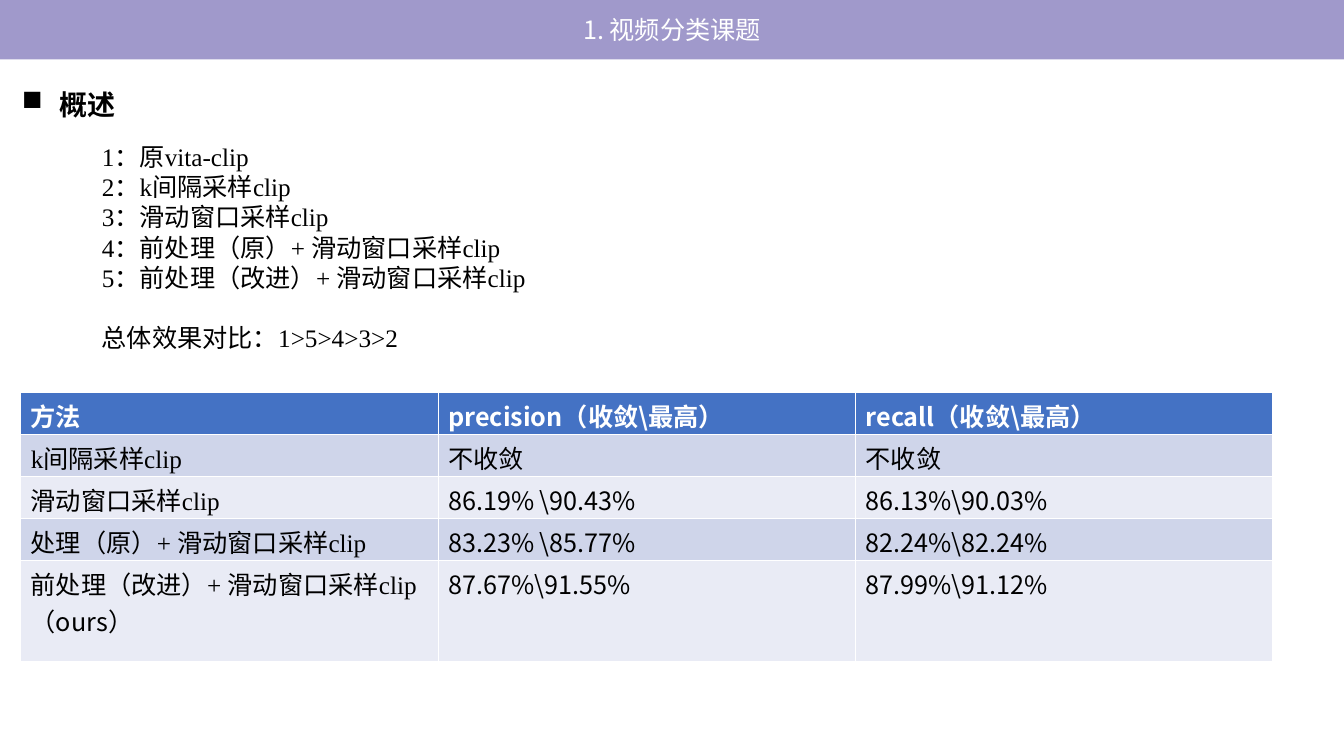
from dataclasses import dataclass

from lxml.etree import SubElement
from pptx import Presentation
from pptx.dml.color import RGBColor
from pptx.enum.text import MSO_ANCHOR as Anchor, MSO_AUTO_SIZE as AutoSize, PP_ALIGN as Align
from pptx.oxml.ns import qn
from pptx.util import Pt

COLORS = {
    "banner": "A099CB", "white": "FFFFFF", "black": "000000",
    "header": "4472C4", "odd": "CFD5EA", "even": "E9EBF5",
}
SANS = "Noto Sans CJK SC"
SERIF = "Times New Roman"


@dataclass(frozen=True)
class Result:
    method: tuple[str, ...]
    precision: str
    recall: str


METHODS = [
    "1：原vita-clip",
    "2：k间隔采样clip",
    "3：滑动窗口采样clip",
    "4：前处理（原）+ 滑动窗口采样clip",
    "5：前处理（改进）+ 滑动窗口采样clip",
]
RANKING = "总体效果对比：1>5>4>3>2"
HEADINGS = Result(("方法",), "precision（收敛\\最高）", "recall（收敛\\最高）")
RESULTS = [
    Result(("k间隔采样clip",), "不收敛", "不收敛"),
    Result(("滑动窗口采样clip",), "86.19% \\90.43%", "86.13%\\90.03%"),
    Result(("处理（原）+ 滑动窗口采样clip",), "83.23% \\85.77%", "82.24%\\82.24%"),
    Result(("前处理（改进）+ 滑动窗口采样clip", "（ours）"),
           "87.67%\\91.55%", "87.99%\\91.12%"),
]


def rgb(name: str) -> RGBColor:
    return RGBColor.from_string(COLORS[name])


def write(frame, text: str, *, font: str = SANS, size: float = 18, color: str = "black",
          bold: bool = False, align=Align.LEFT, before: float = 0,
          bullet: str = "", indent: float = 0) -> None:
    """Fill the first paragraph of the frame, or add one below the others."""
    first = frame.paragraphs[0]
    paragraph = frame.add_paragraph() if first.runs else first
    paragraph.alignment = align
    paragraph.line_spacing = 1.0
    paragraph.space_before = Pt(before)
    props = paragraph._p.get_or_add_pPr()
    props.set("marL", str(Pt(indent)))
    props.set("indent", str(-Pt(indent)))
    if bullet:
        SubElement(props, qn("a:buChar"), char=bullet)
    else:
        SubElement(props, qn("a:buNone"))
    run = paragraph.add_run()
    run.text = text
    run.font.name = font
    run.font.size = Pt(size)
    run.font.bold = bold
    run.font.color.rgb = rgb(color)
    SubElement(run._r.get_or_add_rPr(), qn("a:ea"), typeface=SANS)


def place(shape, left: float, top: float, width: float, height: float) -> None:
    shape.left, shape.top, shape.width, shape.height = map(Pt, (left, top, width, height))


def fill_row(table, index: int, result: Result, fill: str) -> None:
    is_header = index == 0
    table.rows[index].height = Pt(30)
    columns = (result.method, (result.precision,), (result.recall,))
    for column, lines in enumerate(columns):
        cell = table.cell(index, column)
        cell.fill.solid()
        cell.fill.fore_color.rgb = rgb(fill)
        for number, line in enumerate(lines):
            is_method = column == 0 and number == 0 and not is_header
            write(cell.text_frame, line, font=SERIF if is_method else SANS,
                  color="white" if is_header else "black", bold=is_header)


def main() -> None:
    deck = Presentation()
    deck.slide_width, deck.slide_height = Pt(960), Pt(540)
    slide = deck.slides.add_slide(deck.slide_layouts[1])

    # Title banner
    title = slide.shapes.title
    place(title, 0, 0, 960, 42.4)
    title.fill.solid()
    title.fill.fore_color.rgb = rgb("banner")
    title.text_frame.auto_size = AutoSize.NONE
    title.text_frame.vertical_anchor = Anchor.MIDDLE
    write(title.text_frame, "1. 视频分类课题", color="white", align=Align.CENTER)

    # Section heading
    overview = slide.shapes.add_textbox(Pt(8.6), Pt(59), Pt(81.4), Pt(31.7))
    overview.text_frame.word_wrap = False
    write(overview.text_frame, "概述", size=20, bold=True, bullet="■", indent=27)

    # Method list and ranking
    methods = slide.placeholders[1]
    place(methods, 65.5, 97.2, 480, 160)
    methods.text_frame.auto_size = AutoSize.NONE
    methods.text_frame.vertical_anchor = Anchor.TOP
    for method in METHODS:
        write(methods.text_frame, method, font=SERIF)
    write(methods.text_frame, RANKING, font=SERIF, before=21.6)

    # Results table
    results = slide.shapes.add_table(
        len(RESULTS) + 1, 3, Pt(14.8), Pt(280.4), Pt(894.6), Pt(150)).table
    fill_row(results, 0, HEADINGS, "header")
    for index, result in enumerate(RESULTS, start=1):
        fill_row(results, index, result, "odd" if index % 2 else "even")

    deck.save("out.pptx")


if __name__ == "__main__":
    main()
